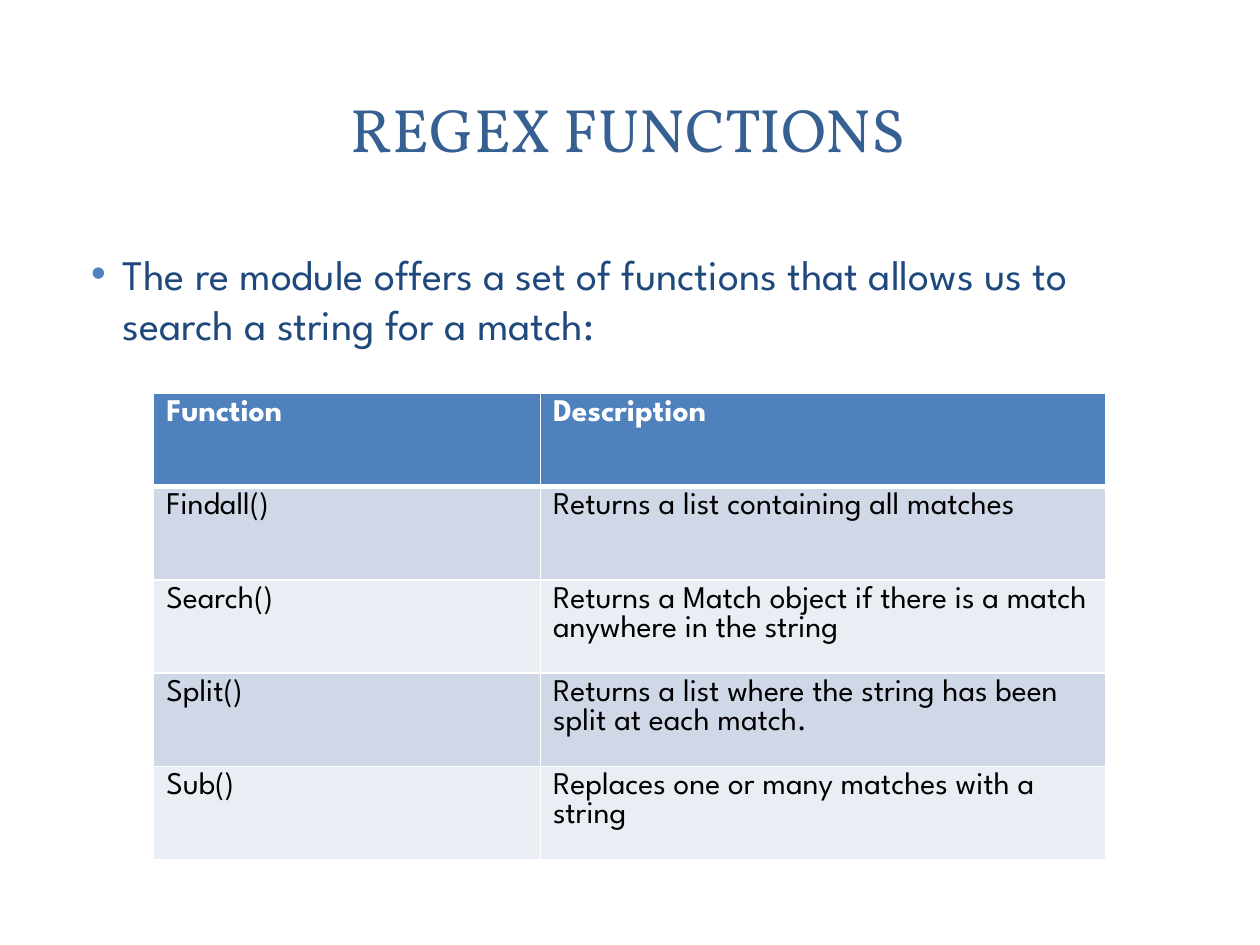
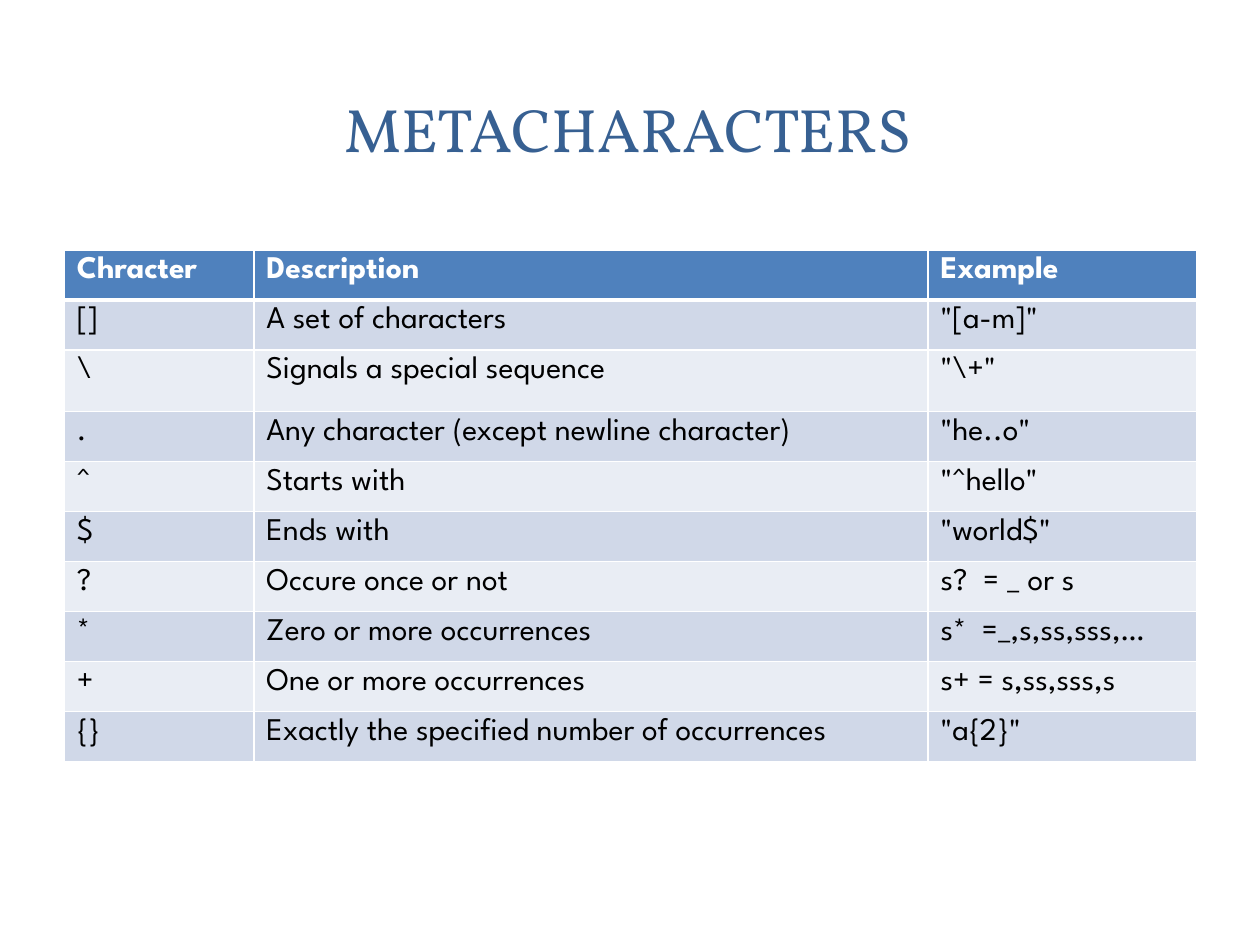
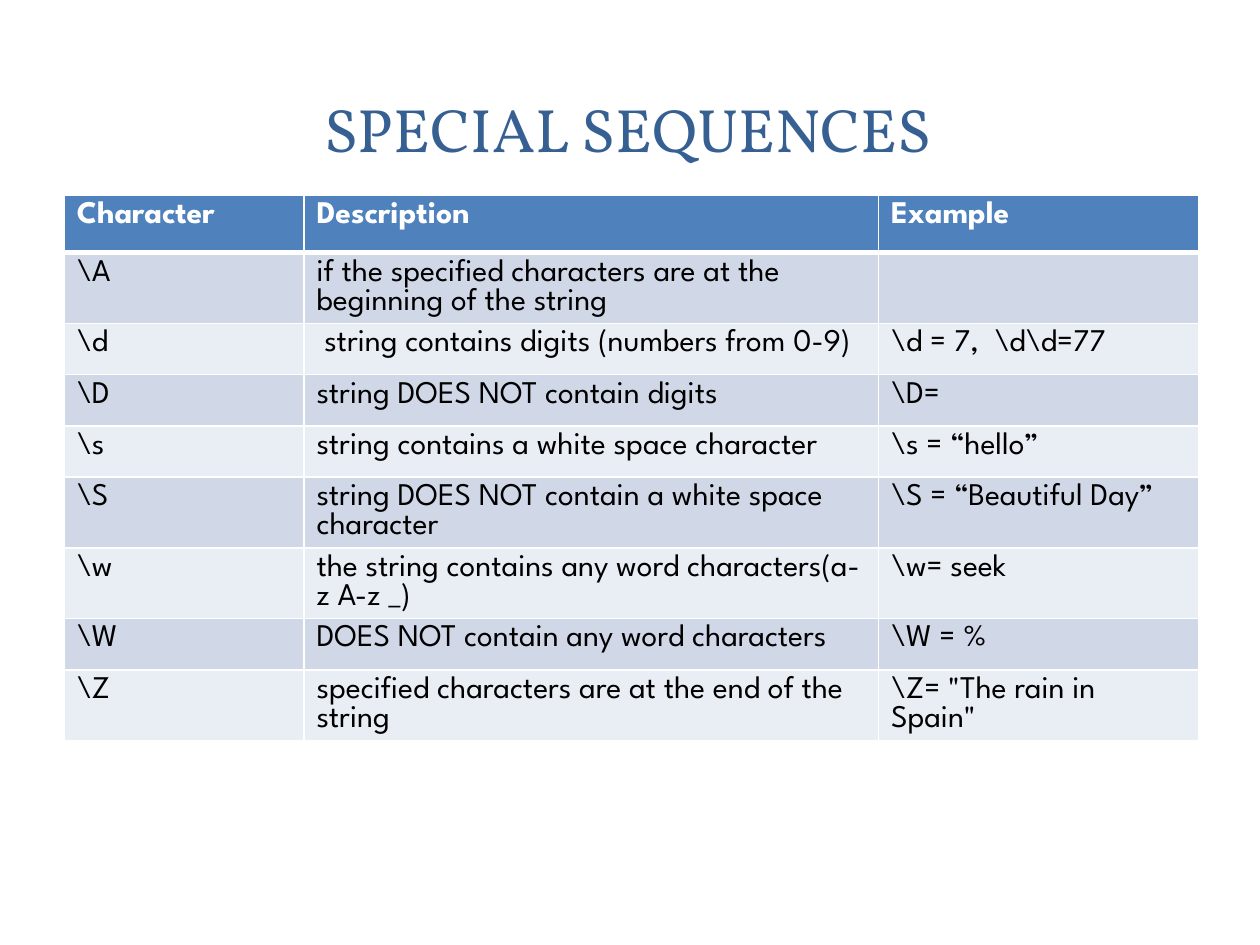
from lxml import etree
from pptx import Presentation
from pptx.dml.color import RGBColor
from pptx.enum.shapes import MSO_SHAPE
from pptx.enum.text import MSO_ANCHOR, PP_ALIGN
from pptx.oxml.ns import qn
from pptx.util import Inches, Pt

MIDDLE, TOP = MSO_ANCHOR.MIDDLE, MSO_ANCHOR.TOP
CENTER = PP_ALIGN.CENTER
RECT, ROUND_RECT = MSO_SHAPE.RECTANGLE, MSO_SHAPE.ROUNDED_RECTANGLE
TITLE_ONLY = 5

COLORS = {
    "title": "376092",
    "body": "1F497D",
    "accent": "4F81BD",
    "band": "D0D8E8",
    "band_light": "E9EDF4",
    "white": "FFFFFF",
    "black": "000000",
}
HEAD_FONT, BODY_FONT = "Vollkorn", "League Spartan"
COLUMNS, ROWS = 100, 75

prs = Presentation()
prs.slide_width, prs.slide_height = Inches(10), Inches(7.5)
layout = prs.slide_layouts[TITLE_ONLY]


def across(n):
    return round(prs.slide_width * n / COLUMNS)


def down(n):
    return round(prs.slide_height * n / ROWS)


def place(box):
    x, y, w, h = box
    return across(x), down(y), across(w), down(h)


def format_runs(p, font, size, color, bold=False):
    for r in p.runs:
        r.font.name, r.font.size, r.font.bold = font, Pt(size), bold
        r.font.color.rgb = RGBColor.from_string(COLORS[color])


def add_layout_panels(s):
    panels = (
        (ROUND_RECT, (1, 1.1, 98, 72.9), 100),
        (RECT, (3, 3, 94, 14.5), 83),
        (RECT, (4.1, 4.1, 91.7, 12.2), 100),
    )
    for i, (kind, box, opacity) in enumerate(panels):
        sp = s.shapes.add_shape(kind, *place(box))
        sp.shadow.inherit = False
        sp.fill.solid()
        sp.fill.fore_color.rgb = RGBColor.from_string(COLORS["white"])
        sp.line.fill.background()
        if kind == ROUND_RECT:
            sp.adjustments[0] = 0.02
        if opacity < 100:
            color = sp._element.spPr.find(qn("a:solidFill")).find(qn("a:srgbClr"))
            etree.SubElement(color, qn("a:alpha"), val=str(opacity * 1000))
        layout.shapes._spTree.insert(2 + i, sp._element)


def add_titled_slide(title, box=(4.7, 4.45, 90.3, 11.4)):
    s = prs.slides.add_slide(layout)
    sp = s.shapes.title
    sp.left, sp.top, sp.width, sp.height = place(box)
    tf = sp.text_frame
    tf.text = title
    tf.vertical_anchor = MIDDLE
    p = tf.paragraphs[0]
    p.alignment = CENTER
    format_runs(p, HEAD_FONT, 35, "title")
    return s


def add_bullet(s, box, text):
    tf = s.shapes.add_textbox(*place(box)).text_frame
    tf.word_wrap = True
    tf.vertical_anchor = TOP
    tf.text = text
    p = tf.paragraphs[0]
    format_runs(p, BODY_FONT, 24, "body")
    pPr = p._p.get_or_add_pPr()
    pPr.set("marL", str(Inches(0.38)))
    pPr.set("indent", str(Inches(-0.25)))
    color = etree.SubElement(pPr, qn("a:buClr"))
    etree.SubElement(color, qn("a:srgbClr"), val=COLORS["accent"])
    etree.SubElement(pPr, qn("a:buFont"), typeface="Arial")
    etree.SubElement(pPr, qn("a:buChar"), char="•")


def set_borders(cell, top, bottom):
    tcPr = cell._tc.get_or_add_tcPr()
    for side, width in (("L", 1), ("R", 1), ("T", top), ("B", bottom)):
        ln = etree.SubElement(tcPr, qn(f"a:ln{side}"), w=str(Pt(width)))
        fill = etree.SubElement(ln, qn("a:solidFill"))
        etree.SubElement(fill, qn("a:srgbClr"), val=COLORS["white"])


def add_grid(s, origin, widths, heights, data):
    box = (*origin, sum(widths), sum(heights))
    table = s.shapes.add_table(len(data), len(widths), *place(box)).table
    for column, width in zip(table.columns, widths):
        column.width = across(width)
    for i, (row, height, texts) in enumerate(zip(table.rows, heights, data)):
        row.height = down(height)
        header = i == 0
        fill = "accent" if header else ("band_light", "band")[i % 2]
        for cell, text in zip(row.cells, texts):
            set_borders(cell, 3 if i == 1 else 1, 3 if header else 1)
            cell.fill.solid()
            cell.fill.fore_color.rgb = RGBColor.from_string(COLORS[fill])
            cell.text = text
            format_runs(cell.text_frame.paragraphs[0], BODY_FONT, 18,
                        "white" if header else "black", header)


FUNCTIONS = [
    ("Function", "Description"),
    ("Findall()", "Returns a list containing all matches"),
    ("Search()", "Returns a\u00a0Match object\u00a0if there is a match anywhere in the string"),
    ("Split()", "Returns a list where the string has been split at each match."),
    ("Sub()", "Replaces one or many matches with a string"),
]
METACHARACTERS = [
    ("Chracter", "Description", "Example"),
    ("[]", "A set of characters", '"[a-m]"'),
    ("\\", "Signals a special sequence", '"\\+"'),
    (".", "Any character (except newline character)", '"he..o"'),
    ("^", "Starts with", '"^hello"'),
    ("$", "Ends with", '"world$"'),
    ("?", "Occure once or not", "s? \u00a0= _ or s"),
    ("*", "Zero or more occurrences", "s* \u00a0=_,s,ss,sss,…"),
    ("+", "One or more occurrences", "s+ = s,ss,sss,s"),
    ("{}", "Exactly the specified number of occurrences", '"a{2}"'),
]
SEQUENCES = [
    ("Character", "Description", "Example "),
    ("\\A", "if the specified characters are at the beginning of the string", ""),
    ("\\d", "\u00a0string contains digits (numbers from 0-9)", "\\d = 7, \u00a0\\d\\d=77"),
    ("\\D", "string DOES NOT contain digits", "\\D="),
    ("\\s", "string contains a white space character", "\\s = “hello”"),
    ("\\S", "string DOES NOT contain a white space character", "\\S = “Beautiful Day”"),
    ("\\w", "the string contains any word characters(a-z A-z _)", "\\w= seek"),
    ("\\W", "DOES NOT contain any word characters", "\\W = %"),
    ("\\Z", "specified characters are at the end of the string", '\\Z= "The rain in Spain"'),
]

s = add_titled_slide("REGEX FUNCTIONS")
add_layout_panels(s)
add_bullet(s, (4.95, 19.2, 90, 47.8),
           "The\u00a0re\u00a0module offers a set of functions that allows us to "
           "search a string for a match:")
add_grid(s, (12.2, 31.2), (30.7, 44.9), [7.41] * 5, FUNCTIONS)

s = add_titled_slide("METACHARACTERS")
add_grid(s, (5.1, 19.84), (15.05, 53.5, 21.35), [3.97] * 2 + [4.9] + [3.97] * 7,
         METACHARACTERS)

s = add_titled_slide("SPECIAL SEQUENCES")
add_grid(s, (5.1, 15.46), (19.03, 45.6, 25.4), [4.6] + [4.07] * 8, SEQUENCES)

prs.save("out.pptx")
